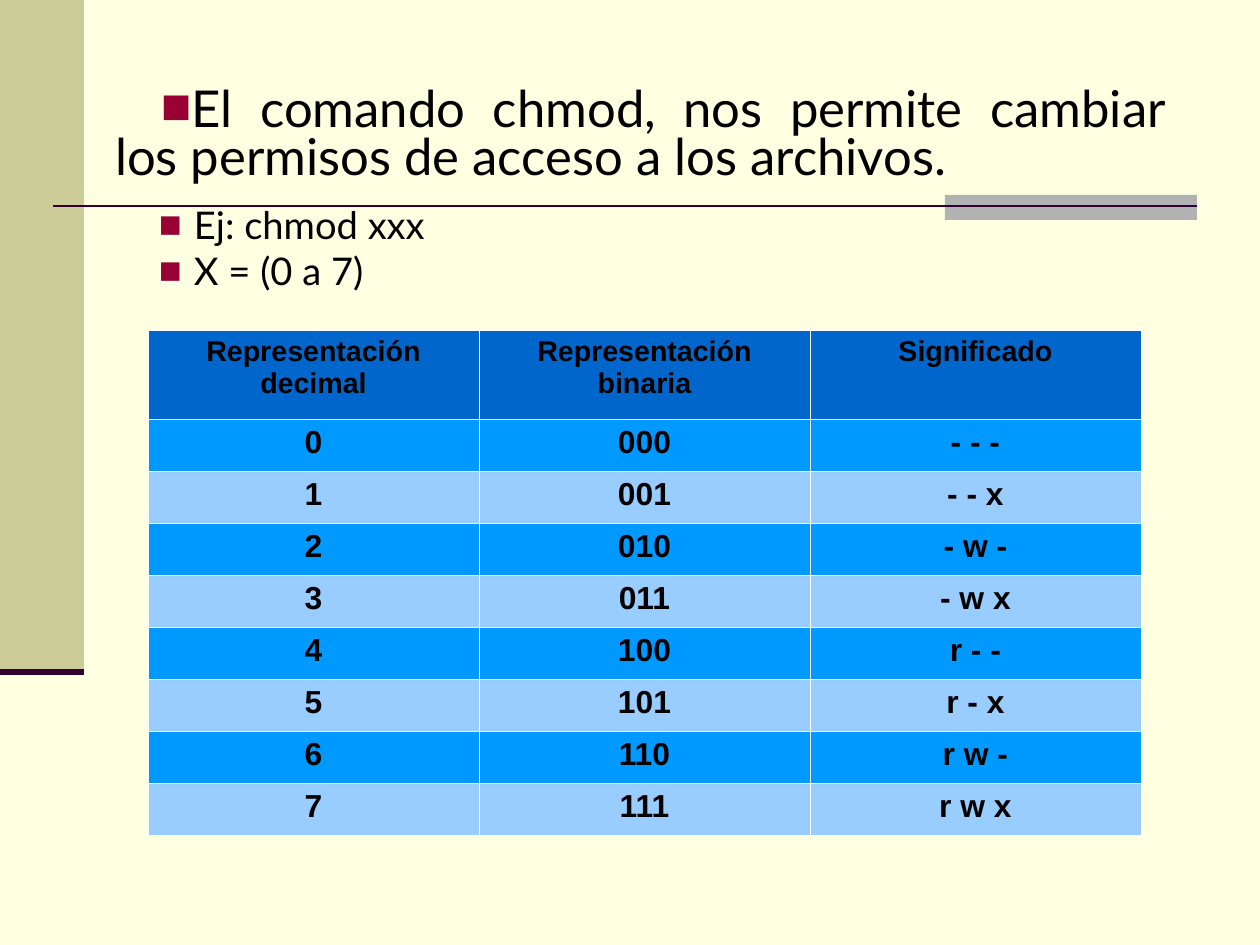
from lxml.etree import SubElement
from pptx import Presentation
from pptx.dml.color import RGBColor
from pptx.enum.shapes import MSO_CONNECTOR as Connector, MSO_SHAPE as Shape
from pptx.enum.text import MSO_ANCHOR as Anchor, PP_ALIGN as Align
from pptx.oxml.ns import qn
from pptx.util import Pt

SCALE = 8000
PLUM = "330033"
BULLET = "990033"
HEADER_BLUE = "0066CC"
ROW_BLUES = ("0099FF", "99CCFF")


def px(length):
    return length * SCALE


def color(hex_value):
    return RGBColor.from_string(hex_value)


class SlideBuilder:
    text_font = "Lato"
    table_font = "Arial"
    text_color = "000000"

    def __init__(self, slide, background):
        self.slide = slide
        slide.background.fill.solid()
        slide.background.fill.fore_color.rgb = color(background)

    def rectangle(self, left, top, width, height, fill):
        shape = self.slide.shapes.add_shape(
            Shape.RECTANGLE, px(left), px(top), px(width), px(height))
        shape.shadow.inherit = False
        shape.fill.solid()
        shape.fill.fore_color.rgb = color(fill)
        shape.line.fill.background()

    def rule(self, left, right, y, points):
        line = self.slide.shapes.add_connector(
            Connector.STRAIGHT, px(left), px(y), px(right), px(y))
        line.line.color.rgb = color(PLUM)
        line.line.width = Pt(points)
        SubElement(line._element.spPr, qn("a:effectLst"))

    def format_font(self, paragraph, name, size, bold=False):
        font = paragraph.font
        font.name, font.size, font.bold = name, Pt(size), bold
        font.color.rgb = color(self.text_color)

    def bullet(self, paragraph, margin, indent):
        properties = paragraph._p.get_or_add_pPr()
        properties.set("marL", str(px(margin)))
        properties.set("indent", str(px(indent)))
        marker_color = SubElement(properties, qn("a:buClr"))
        SubElement(marker_color, qn("a:srgbClr"), val=BULLET)
        SubElement(properties, qn("a:buFont"), typeface="Arial")
        SubElement(properties, qn("a:buChar"), char="■")

    def bullet_list(self, left, top, width, height, items):
        box = self.slide.shapes.add_textbox(px(left), px(top), px(width), px(height))
        frame = box.text_frame
        frame.word_wrap = True
        frame.vertical_anchor = Anchor.TOP
        frame.margin_left = frame.margin_right = 0
        frame.margin_top = frame.margin_bottom = 0
        for index, (text, size, before, margin, indent, align) in enumerate(items):
            paragraph = frame.add_paragraph() if index else frame.paragraphs[0]
            paragraph.text = text
            paragraph.alignment = align
            paragraph.line_spacing = 0.8
            paragraph.space_before = Pt(before)
            self.bullet(paragraph, margin, indent)
            self.format_font(paragraph, self.text_font, size)

    def border(self, cell):
        properties = cell._tc.get_or_add_tcPr()
        for index, side in enumerate(("lnL", "lnR", "lnT", "lnB")):
            line = properties.makeelement(qn(f"a:{side}"), {"w": "762"})
            fill = SubElement(line, qn("a:solidFill"))
            SubElement(fill, qn("a:srgbClr"), val="FFFFFF")
            properties.insert(index, line)

    def table(self, left, top, column_width, header_height, row_height, rows):
        columns = len(rows[0])
        height = header_height + row_height * (len(rows) - 1)
        table = self.slide.shapes.add_table(
            len(rows), columns, px(left), px(top),
            px(column_width * columns), px(height)).table
        for column in table.columns:
            column.width = px(column_width)
        for row_index, values in enumerate(rows):
            is_header = row_index == 0
            table.rows[row_index].height = px(header_height if is_header else row_height)
            fill = HEADER_BLUE if is_header else ROW_BLUES[(row_index - 1) % 2]
            for column_index, value in enumerate(values):
                cell = table.cell(row_index, column_index)
                cell.fill.solid()
                cell.fill.fore_color.rgb = color(fill)
                self.border(cell)
                cell.text = value
                paragraph = cell.text_frame.paragraphs[0]
                paragraph.alignment = Align.CENTER
                paragraph.space_before = Pt(4.5 if is_header else 5)
                self.format_font(paragraph, self.table_font, 18 if is_header else 20, True)


def permission_rows():
    rows = [("Representación decimal", "Representación binaria", "Significado")]
    for number in range(8):
        binary = f"{number:03b}"
        flags = " ".join(
            letter if bit == "1" else "-" for letter, bit in zip("rwx", binary))
        rows.append((str(number), binary, flags))
    return rows


def main():
    presentation = Presentation()
    presentation.slide_width, presentation.slide_height = px(1260), px(945)
    slide = presentation.slides.add_slide(presentation.slide_layouts[6])
    builder = SlideBuilder(slide, "FFFFE1")
    builder.rectangle(0, 0, 84, 672, "CCCC99")
    builder.rectangle(945, 195, 252, 25, "B2B2B2")
    builder.rule(53, 1197, 206, 1.5)
    builder.rule(0, 84, 672, 3.5)
    builder.bullet_list(90, 88, 1076, 222, [
        ("El comando chmod, nos permite cambiar los permisos de acceso a los archivos.",
         32, 8, 25, 46, Align.JUSTIFY),
        ("Ej: chmod xxx", 24, 15.5, 104, -35, Align.LEFT),
        ("X = (0 a 7)", 24, 6, 104, -35, Align.LEFT),
    ])
    builder.table(148, 330, 331, 89, 52, permission_rows())
    presentation.save("out.pptx")


if __name__ == "__main__":
    main()
